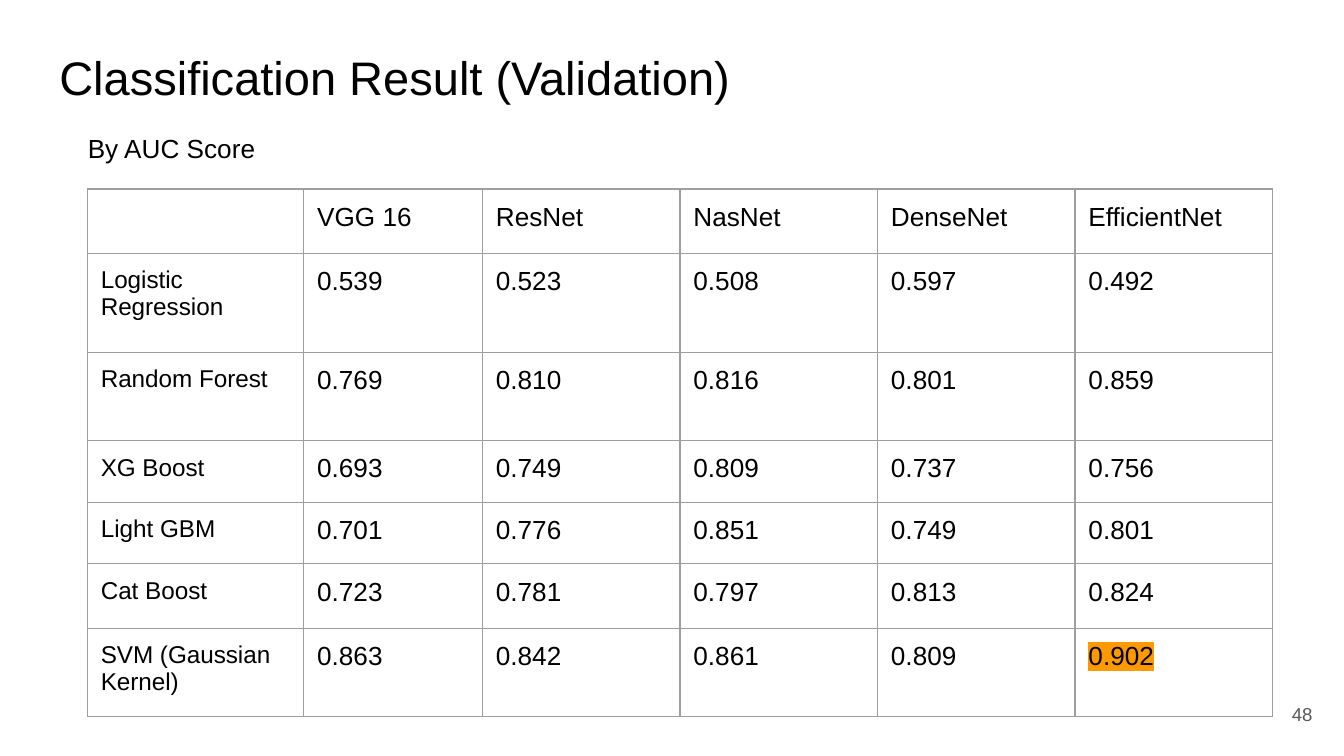
from lxml import etree
from pptx import Presentation
from pptx.dml.color import RGBColor
from pptx.enum.text import MSO_ANCHOR, MSO_AUTO_SIZE, PP_ALIGN
from pptx.oxml.ns import qn
from pptx.util import Inches, Pt

TOP, MIDDLE = MSO_ANCHOR.TOP, MSO_ANCHOR.MIDDLE
LEFT, RIGHT = PP_ALIGN.LEFT, PP_ALIGN.RIGHT
FIXED = MSO_AUTO_SIZE.NONE

WIDE = Inches(10)
HIGH = WIDE * 9 // 16
PAD = Inches(0.1)
FONT = "Arial"
HUES = {"ink": "000000", "page": "595959", "rule": "9E9E9E", "best": "FF9900"}

# Boxes are left, top, width and height as shares of the slide, in percent.
BOXES = {
    "title": (3.41, 4.62, 93.2, 11.2),
    "note": (5.55, 15.74, 26.6, 7.8),
    "table": (6.5, 25, 88.2, 69.8),
    "page": (92.65, 90.67, 6, 7.65),
}

COLS = (1.61, 1.33, 1.47, 1.47, 1.47, 1.47)
ROWS = (0.48, 0.74, 0.66, 0.46, 0.46, 0.48, 0.66)
SCORES = (
    ("", "VGG 16", "ResNet", "NasNet", "DenseNet", "EfficientNet"),
    ("Logistic Regression", "0.539", "0.523", "0.508", "0.597", "0.492"),
    ("Random Forest", "0.769", "0.810", "0.816", "0.801", "0.859"),
    ("XG Boost", "0.693", "0.749", "0.809", "0.737", "0.756"),
    ("Light GBM", "0.701", "0.776", "0.851", "0.749", "0.801"),
    ("Cat Boost", "0.723", "0.781", "0.797", "0.813", "0.824"),
    ("SVM (Gaussian Kernel)", "0.863", "0.842", "0.861", "0.809", "0.902"),
)
BEST = "0.902"


def scale(box):
    left, top, width, height = box
    return (int(WIDE * left / 100), int(HIGH * top / 100),
            int(WIDE * width / 100), int(HIGH * height / 100))


def pad(item):
    for side in ("left", "top", "right", "bottom"):
        setattr(item, f"margin_{side}", PAD)


def write(frame, text, size, hue="ink", align=LEFT):
    para = frame.paragraphs[0]
    para.alignment = align
    if not text:
        etree.SubElement(para._p, qn("a:endParaRPr"), sz=str(size * 100))
        return None
    run = para.add_run()
    run.text = text
    look = {"name": FONT, "size": Pt(size), "bold": False}
    for key, value in look.items():
        setattr(run.font, key, value)
    run.font.color.rgb = RGBColor.from_string(HUES[hue])
    return run


def fill_box(shape, text, size, hue="ink", align=LEFT, anchor=TOP):
    frame = shape.text_frame
    look = {"word_wrap": True, "auto_size": FIXED, "vertical_anchor": anchor}
    for key, value in look.items():
        setattr(frame, key, value)
    pad(frame)
    write(frame, text, size, hue, align)


def add_title(slide, box, text):
    title = slide.shapes.title
    title.left, title.top, title.width, title.height = scale(box)
    fill_box(title, text, 25.2)


def add_text(slide, box, text, size, **look):
    fill_box(slide.shapes.add_textbox(*scale(box)), text, size, **look)


def add_hue(parent, hue):
    etree.SubElement(parent, qn("a:srgbClr"), val=HUES[hue])


def mark(run):
    """Highlight a run; the schema wants this right after its fill."""
    light = etree.Element(qn("a:highlight"))
    add_hue(light, "best")
    run.font._element.find(qn("a:solidFill")).addnext(light)


def rule(cell):
    props = cell._tc.get_or_add_tcPr()
    for side in "LRTB":
        line = etree.SubElement(props, qn(f"a:ln{side}"), w=str(Pt(0.75)))
        add_hue(etree.SubElement(line, qn("a:solidFill")), "rule")


def add_scores(slide, box):
    place = scale(box)
    grid = slide.shapes.add_table(len(ROWS), len(COLS), *place).table
    grid.first_row = grid.horz_banding = False
    for col, share in zip(grid.columns, COLS):
        col.width = int(place[2] * share / sum(COLS))
    for row, share, texts in zip(grid.rows, ROWS, SCORES):
        row.height = int(place[3] * share / sum(ROWS))
        for num, (cell, text) in enumerate(zip(row.cells, texts)):
            pad(cell)
            rule(cell)
            cell.fill.background()
            size = 13 if num == 0 and text else 14
            run = write(cell.text_frame, text, size)
            if text == BEST:
                mark(run)


def main():
    deck = Presentation()
    deck.slide_width, deck.slide_height = WIDE, HIGH
    slide = deck.slides.add_slide(deck.slide_layouts[5])
    add_title(slide, BOXES["title"], "Classification Result (Validation)")
    add_text(slide, BOXES["page"], "48", 10,
             hue="page", align=RIGHT, anchor=MIDDLE)
    add_scores(slide, BOXES["table"])
    add_text(slide, BOXES["note"], "By AUC Score", 14)
    deck.save("out.pptx")


if __name__ == "__main__":
    main()
